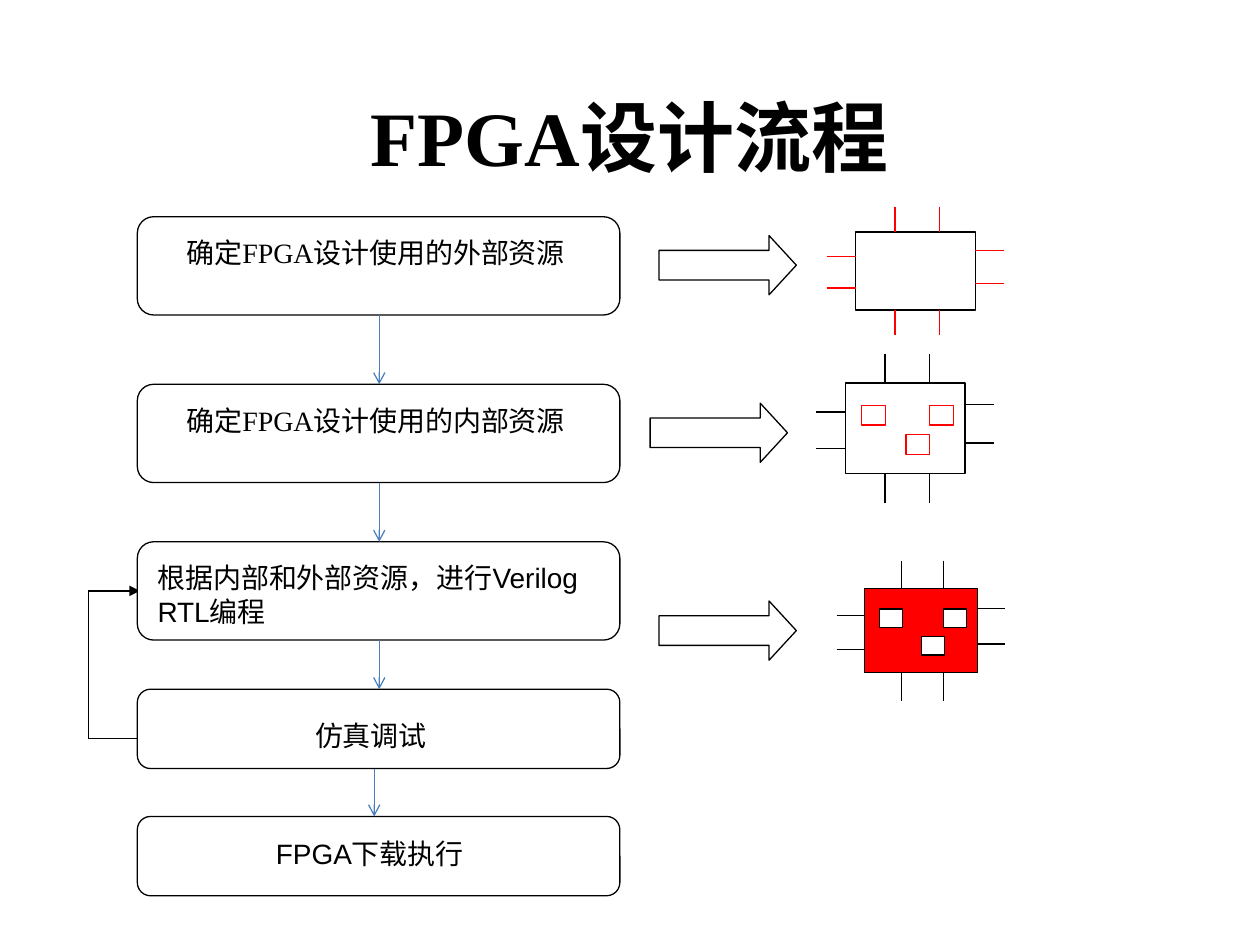
from dataclasses import dataclass

from lxml import etree
from pptx import Presentation
from pptx import util as u
from pptx.dml.color import RGBColor
from pptx.enum import shapes, text
from pptx.oxml import ns

HUES = {"ink": "000000", "paper": "FFFFFF", "new": "FF0000", "flow": "4B7EBC"}
SERIF, SANS = "Times New Roman", "Arial"
KIND = shapes.MSO_SHAPE


@dataclass
class Step:
    """A box of the flow with its label; y is the top of each."""
    y: float
    high: float
    label: str
    font: str
    at: tuple[float, float, float, float]


@dataclass
class Chip:
    """A chip with pins; hues for body, pins and cores."""
    x: float
    y: float
    wide: float
    high: float
    side: float
    tall: float
    body: str = "paper"
    pin: str = "ink"
    core: str | None = None


STEPS = [
    Step(1.72, 0.78, "确定FPGA设计使用的外部资源", SERIF, (1.48, 1.87, 3.05, 0.38)),
    Step(3.05, 0.78, "确定FPGA设计使用的内部资源", SERIF, (1.48, 3.2, 3.05, 0.38)),
    Step(4.3, 0.78, "根据内部和外部资源，进行Verilog RTL编程", SANS, (1.25, 4.45, 3.52, 0.55)),
    Step(5.47, 0.63, "仿真调试", SANS, (2.5, 5.7, 1.02, 0.38)),
    Step(6.48, 0.63, "FPGA下载执行", SANS, (2.19, 6.64, 1.8, 0.38)),
]
CHIPS = [
    Chip(6.79, 1.84, 0.95, 0.62, 0.23, 0.2, pin="new"),
    Chip(6.71, 3.04, 0.95, 0.72, 0.23, 0.23, core="new"),
    Chip(6.86, 4.67, 0.9, 0.67, 0.22, 0.22, body="new", core="ink"),
]
ARROWS = [(5.23, 1.87), (5.16, 3.2), (5.23, 4.77)]
LOOP = [(1.11, 5.86), (0.7, 5.86), (0.7, 4.69), (1.11, 4.69)]
# Pin and core places as shares of the chip's width and height
COLS, LEFT, RIGHT = (0.33, 0.7), (0.32, 0.72), (0.24, 0.66)
CORES = [(0.135, 0.245), (0.7, 0.245), (0.505, 0.57)]

deck = Presentation()
deck.slide_width, deck.slide_height = u.Inches(10), u.Inches(7.5)
slide = deck.slides.add_slide(deck.slide_layouts[5])


def paint(hue: str) -> RGBColor:
    """Return a named colour."""
    return RGBColor.from_string(HUES[hue])


def write(frame, words: str, *, font: str, size: float, bold: bool = False,
          align=text.PP_ALIGN.LEFT, anchor=text.MSO_ANCHOR.TOP) -> None:
    """Put formatted words in a text frame."""
    frame.word_wrap = True
    frame.vertical_anchor = anchor
    para = frame.paragraphs[0]
    para.alignment = align
    run = para.add_run()
    run.text = words
    run.font.name, run.font.size, run.font.bold = font, u.Pt(size), bold
    run.font.color.rgb = paint("ink")


def label(step: Step) -> None:
    """Add the text of a step."""
    frame = slide.shapes.add_textbox(*map(u.Inches, step.at)).text_frame
    frame.margin_left = frame.margin_right = 0
    frame.margin_top = frame.margin_bottom = 0
    write(frame, step.label, font=step.font, size=16)


def block(home, kind, x: float, y: float, wide: float, high: float,
          fill: str = "paper", edge: str = "ink", adj: tuple = ()) -> None:
    """Add a filled and outlined preset shape."""
    item = home.add_shape(kind, *map(u.Inches, (x, y, wide, high)))
    item.shadow.inherit = False
    item.fill.solid()
    item.fill.fore_color.rgb = paint(fill)
    item.line.color.rgb = paint(edge)
    item.line.width = u.Pt(0.75)
    for spot, value in enumerate(adj):
        item.adjustments[spot] = value


def link(home, start: tuple, end: tuple, hue: str = "ink", tip: str = "") -> None:
    """Add a straight line, with an arrowhead if tip is given."""
    line = home.add_connector(shapes.MSO_CONNECTOR.STRAIGHT,
                              *map(u.Inches, (*start, *end)))
    line.line.color.rgb = paint(hue)
    line.line.width = u.Pt(0.75)
    if tip:
        etree.SubElement(line.line._get_or_add_ln(), ns.qn("a:tailEnd"), type=tip)
    etree.SubElement(line._element.spPr, ns.qn("a:effectLst"))


def draw(chip: Chip) -> None:
    """Add a chip as a group of body, pins and cores."""
    home = slide.shapes.add_group_shape().shapes
    block(home, KIND.RECTANGLE, chip.x, chip.y, chip.wide, chip.high, chip.body)
    for top, step in ((chip.y - chip.tall, chip.tall), (chip.y + chip.high, chip.tall)):
        for part in COLS:
            x = chip.x + part * chip.wide
            link(home, (x, top), (x, top + step), chip.pin)
    for x, rows in ((chip.x - chip.side, LEFT), (chip.x + chip.wide, RIGHT)):
        for part in rows:
            y = chip.y + part * chip.high
            link(home, (x, y), (x + chip.side, y), chip.pin)
    if chip.core:
        for col, row in CORES:
            block(home, KIND.RECTANGLE, chip.x + col * chip.wide,
                  chip.y + row * chip.high, 0.2 * chip.wide, 0.22 * chip.high,
                  edge=chip.core)


title = slide.shapes.title
title.left, title.top, title.width, title.height = map(u.Inches, (0.5, 0.6, 9, 0.95))
write(title.text_frame, "FPGA设计流程", font=SERIF, size=44, bold=True,
      align=text.PP_ALIGN.CENTER, anchor=text.MSO_ANCHOR.MIDDLE)

for chip in CHIPS:
    draw(chip)
for x, y in ARROWS:
    block(slide.shapes, KIND.RIGHT_ARROW, x, y, 1.09, 0.47, adj=(0.5, 0.46))
for start, end in zip(LOOP, LOOP[1:]):
    link(slide.shapes, start, end, tip="triangle" if end == LOOP[-1] else "")
for step in STEPS:
    block(slide.shapes, KIND.ROUNDED_RECTANGLE, 1.09, step.y, 3.83, step.high,
          adj=(0.167,))
    label(step)
for x, above, below in zip((3.01, 3.01, 3.01, 2.97), STEPS, STEPS[1:]):
    link(slide.shapes, (x, above.y + above.high), (x, below.y), "flow", "arrow")

deck.save("out.pptx")
